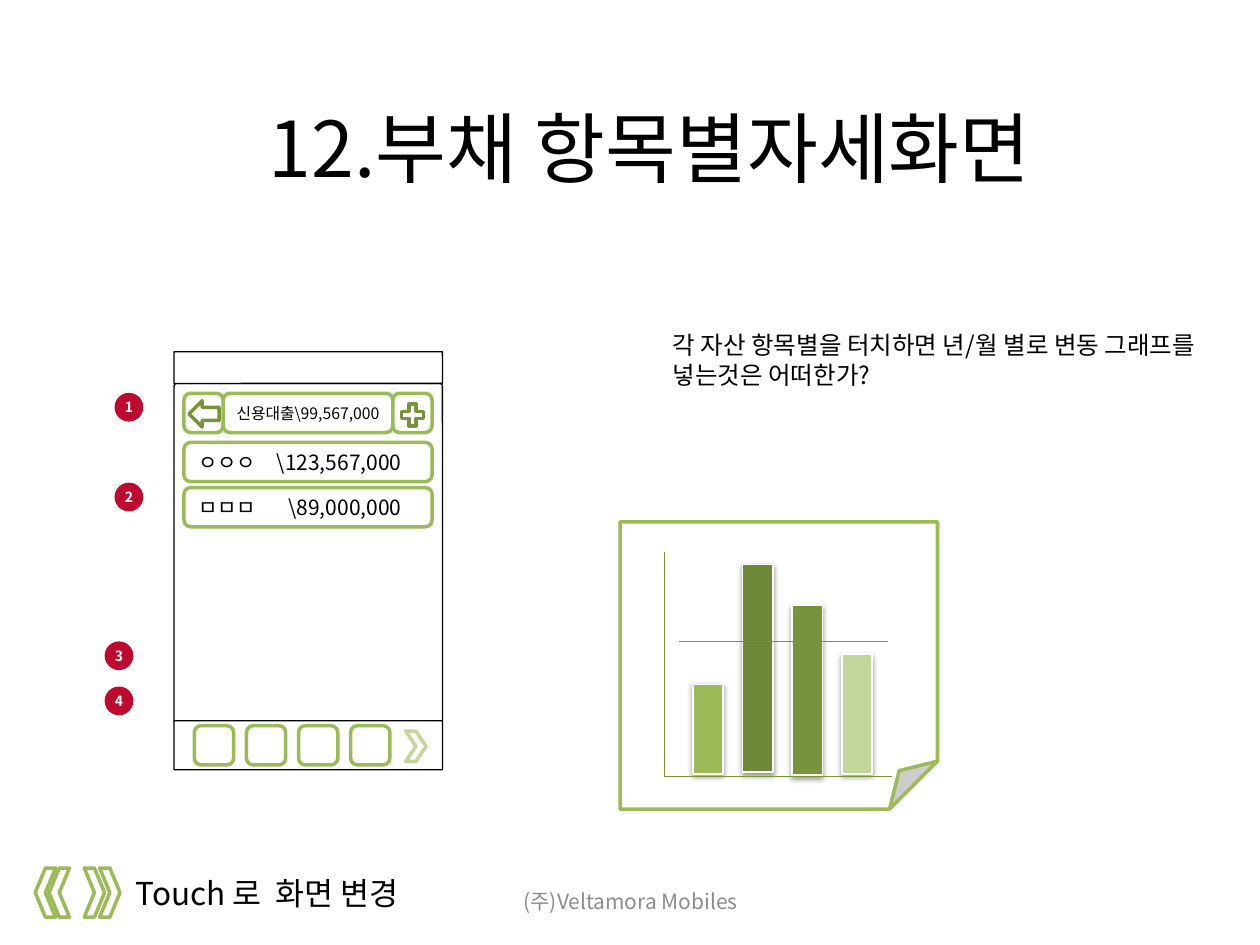
from dataclasses import dataclass

from lxml import etree
from pptx import Presentation
from pptx.dml.color import RGBColor
from pptx.enum.shapes import MSO_CONNECTOR, MSO_SHAPE
from pptx.enum.text import MSO_ANCHOR, PP_ALIGN
from pptx.oxml.ns import qn
from pptx.util import Cm, Pt

ROUND, RECT, OVAL = MSO_SHAPE.ROUNDED_RECTANGLE, MSO_SHAPE.RECTANGLE, MSO_SHAPE.OVAL
CHEVRON, PLUS, BACK = MSO_SHAPE.CHEVRON, MSO_SHAPE.MATH_PLUS, MSO_SHAPE.LEFT_ARROW
FOLDED = MSO_SHAPE.FOLDED_CORNER
STRAIGHT = MSO_CONNECTOR.STRAIGHT
LEFT, CENTER = PP_ALIGN.LEFT, PP_ALIGN.CENTER
TOP, MIDDLE = MSO_ANCHOR.TOP, MSO_ANCHOR.MIDDLE


@dataclass(frozen=True)
class Theme:
    font: str = "Noto Sans CJK KR"
    ink: str = "000000"
    paper: str = "FFFFFF"
    muted: str = "8C8C8C"
    green: str = "9BBB59"
    deep: str = "77933C"
    dark: str = "6D8838"
    pale: str = "C3D69B"
    badge: str = "BF0A30"
    title: int = 44
    gesture: int = 18
    question: int = 14
    body: int = 12
    total: int = 9
    number: int = 8
    thin: float = 0.75
    edge: int = 1
    thick: int = 2


THEME = Theme()


def assign(target, values):
    for name, value in values.items():
        setattr(target, name, value)


def write(holder, text, size, color=THEME.ink, align=LEFT, bold=False, **frame_format):
    frame = holder.text_frame
    assign(frame, {"word_wrap": True, "vertical_anchor": MIDDLE, **frame_format})
    paragraph = frame.paragraphs[0]
    paragraph.alignment = align
    run = paragraph.add_run()
    run.text = text
    assign(run.font, {"name": THEME.font, "size": Pt(size), "bold": bold})
    run.font.color.rgb = RGBColor.from_string(color)
    etree.SubElement(run.font._element, qn("a:ea"), typeface=THEME.font)
    return paragraph


def draw(slide, kind, left, top, width, height, fill=THEME.paper,
         line=THEME.green, weight=THEME.thick):
    shape = slide.shapes.add_shape(kind, Cm(left), Cm(top), Cm(width), Cm(height))
    shape.shadow.inherit = False
    shape.fill.solid()
    shape.fill.fore_color.rgb = RGBColor.from_string(fill)
    if line:
        shape.line.color.rgb = RGBColor.from_string(line)
        shape.line.width = Pt(weight)
    else:
        shape.line.fill.background()
    return shape


def add_label(slide, left, top, width, height, text, size, **text_format):
    box = slide.shapes.add_textbox(Cm(left), Cm(top), Cm(width), Cm(height))
    return write(box, text, size, **text_format)


def add_title(slide, left, top, width, height, text):
    title = slide.shapes.title
    assign(title, {"left": Cm(left), "top": Cm(top),
                   "width": Cm(width), "height": Cm(height)})
    write(title, text, THEME.title, align=CENTER)


def add_tab_stop(paragraph, position):
    tabs = etree.SubElement(paragraph._p.get_or_add_pPr(), qn("a:tabLst"))
    etree.SubElement(tabs, qn("a:tab"), pos=str(Cm(position)), algn="r")


def add_phone(slide, left, top, width, total, debts):
    for offset, height in ((0.64, 6.86), (7.44, 0.99), (0, 0.64)):
        panel = draw(slide, ROUND, left, top + offset, width, height,
                     line=THEME.ink, weight=THEME.thin)
        panel.adjustments[0] = 0.01

    button = 0.79
    for index in range(4):
        draw(slide, ROUND, left + 0.41 + 1.05 * index, top + 7.54, button, button)
    draw(slide, CHEVRON, left + 4.67, top + 7.65, 0.41, 0.61, line=THEME.pale)

    inner, inner_width = left + 0.2, width - 0.41
    for index, debt in enumerate(debts):
        row = draw(slide, ROUND, inner, top + 1.83 + 0.91 * index, inner_width, button)
        add_tab_stop(write(row, "\t".join(debt), THEME.body), 4.1)

    header = top + 0.84
    summary = draw(slide, ROUND, inner + button, header, inner_width - 2 * button, button)
    write(summary, total, THEME.total, align=CENTER, margin_left=0, margin_right=0)
    for offset in (inner_width - button, 0):
        draw(slide, ROUND, inner + offset, header, button, button)
    draw(slide, PLUS, left + 4.5, header + 0.13, 0.61, 0.61, line=THEME.deep)
    draw(slide, BACK, left + 0.3, header + 0.15, 0.61, 0.53, line=THEME.deep)


def add_badge(slide, left, top, number):
    badge = draw(slide, OVAL, left, top, 0.58, 0.58, fill=THEME.badge, line=None)
    margins = dict.fromkeys(
        ("margin_left", "margin_top", "margin_right", "margin_bottom"), 0)
    write(badge, str(number), THEME.number, color=THEME.paper, align=CENTER,
          bold=True, **{**margins, "word_wrap": False})


def add_gesture(slide, left, top, text):
    for offset, turn in ((0.99, 0), (1.3, 0), (0.28, 180), (0, 180)):
        arrow = draw(slide, CHEVRON, left + offset, top, 0.41, 0.99)
        arrow.rotation = turn
    add_label(slide, left + 1.78, top, 6.32, 1.02, text, THEME.gesture,
              word_wrap=False, vertical_anchor=TOP)


def add_bar_shadow(bar):
    effects = bar._element.spPr.find(qn("a:effectLst"))
    shadow = etree.SubElement(effects, qn("a:outerShdw"), blurRad=str(Pt(3.1)),
                              dist=str(Pt(1.6)), dir="5400000", rotWithShape="0")
    color = etree.SubElement(shadow, qn("a:srgbClr"), val=THEME.ink)
    etree.SubElement(color, qn("a:alpha"), val="38000")


def add_graph_note(slide, left, top, width, height):
    draw(slide, FOLDED, left, top, width, height)
    bars = ((3.28, 1.8, THEME.green), (0.86, 4.19, THEME.dark),
            (1.68, 3.43, THEME.deep), (2.67, 2.41, THEME.pale))
    for index, (offset, length, fill) in enumerate(bars):
        bar = draw(slide, RECT, left + 1.47 + index, top + offset, 0.61, length,
                   fill=fill, line=THEME.paper, weight=THEME.edge)
        add_bar_shadow(bar)
    rules = ((0.89, 0.61, 0.89, 5.13), (0.89, 5.13, 5.49, 5.13), (1.19, 2.41, 5.41, 2.41))
    for x1, y1, x2, y2 in rules:
        rule = slide.shapes.add_connector(
            STRAIGHT, Cm(left + x1), Cm(top + y1), Cm(left + x2), Cm(top + y2))
        rule.line.color.rgb = RGBColor.from_string(THEME.deep)
        rule.line.width = Pt(THEME.thin)
        etree.SubElement(rule._element.spPr, qn("a:effectLst"))


def build():
    deck = Presentation()
    assign(deck, {"slide_width": Cm(25.4), "slide_height": Cm(19.05)})
    slide = deck.slides.add_slide(deck.slide_layouts[5])
    add_title(slide, 2.31, 0.91, 21.59, 4.09, "12.부채 항목별자세화면")
    add_phone(slide, 3.51, 7.09, 5.41, "신용대출\\99,567,000",
              (("ㅇㅇㅇ", "\\123,567,000"), ("ㅁㅁㅁ", "\\89,000,000")))
    badges = ((2.31, 7.92), (2.31, 9.73), (2.11, 12.93), (2.11, 13.84))
    for number, (left, top) in enumerate(badges, 1):
        add_badge(slide, left, top, number)
    add_gesture(slide, 0.71, 17.5, "Touch 로  화면 변경")
    add_label(slide, 8.69, 17.65, 8.05, 1.02, "(주)Veltamora Mobiles",
              THEME.body, color=THEME.muted, align=CENTER)
    question = add_label(slide, 13.31, 6.53, 11.81, 9.4,
                         "각 자산 항목별을 터치하면 년/월 별로 변동 그래프를 넣는것은 어떠한가?",
                         THEME.question, vertical_anchor=TOP)
    question.space_before = Pt(2.8)
    add_graph_note(slide, 12.5, 10.52, 6.4, 5.79)
    deck.save("out.pptx")


build()
